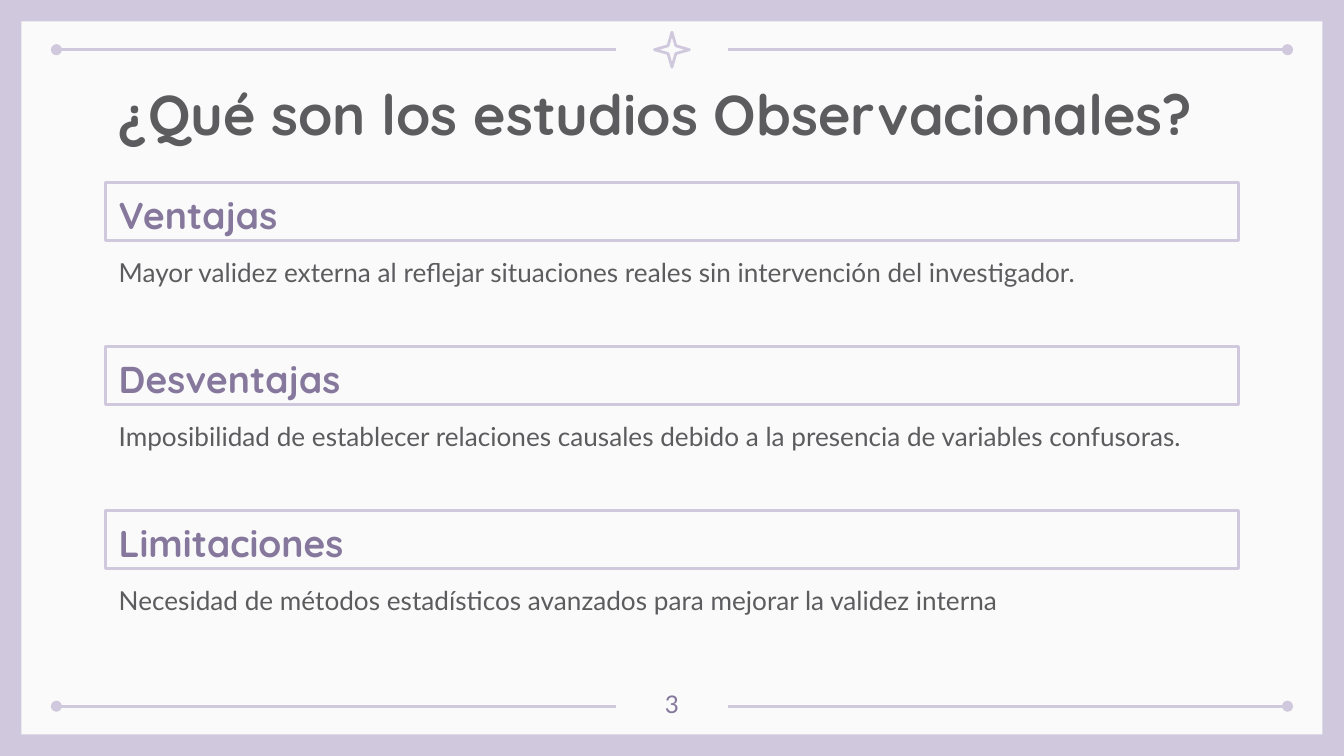
from lxml.etree import SubElement
from pptx import Presentation
from pptx.dml.color import RGBColor
from pptx.enum.shapes import MSO_CONNECTOR, MSO_SHAPE
from pptx.enum.text import MSO_ANCHOR as Anchor, PP_ALIGN as Align
from pptx.oxml.ns import qn
from pptx.util import Inches, Pt

LAVENDER = RGBColor(0xD0, 0xC9, 0xDD)
PAPER = RGBColor(0xFA, 0xFA, 0xFA)
GRAY = RGBColor(0x5C, 0x5C, 0x5F)
PURPLE = RGBColor(0x85, 0x78, 0x9C)

TITLE = "¿Qué son los estudios Observacionales?"
SECTIONS = [
    ("Ventajas",
     "Mayor validez externa al reflejar situaciones reales sin intervención del investigador."),
    ("Desventajas",
     "Imposibilidad de establecer relaciones causales debido a la presencia de variables confusoras."),
    ("Limitaciones",
     "Necesidad de métodos estadísticos avanzados para mejorar la validez interna"),
]
PAGE_NUMBER = "3"

WIDTH = 10
HEIGHT = WIDTH * 9 / 16
BORDER = 0.16
RULE_MARGIN, RULE_LENGTH = 0.42, 4.16
RULE_Y = 0.37
STAR_SIZE = 0.26
CONTENT_WIDTH = 8.43
LEFT = (WIDTH - CONTENT_WIDTH) / 2
FIRST_ROW, ROW_STEP = 1.36, 1.22
HEADING_HEIGHT, BODY_OFFSET, BODY_HEIGHT = 0.43, 0.41, 0.58


def style_outline(line):
    line.color.rgb = LAVENDER
    line.width = Pt(1.5)


def add_preset(slide, preset, left, top, width, height, fill=None):
    """Add a shape that is either filled without a line or outlined without a fill."""
    shape = slide.shapes.add_shape(preset, *map(Inches, (left, top, width, height)))
    shape.shadow.inherit = False
    if fill is not None:
        shape.fill.solid()
        shape.fill.fore_color.rgb = fill
        shape.line.fill.background()
    else:
        shape.fill.background()
        style_outline(shape.line)
        SubElement(shape.line._get_or_add_ln(), qn("a:round"))
    return shape


def add_rule(slide, start_x, end_x, y, dotted_end):
    """Draw a line from left to right with a dot at its headEnd or tailEnd."""
    rule = slide.shapes.add_connector(
        MSO_CONNECTOR.STRAIGHT, *map(Inches, (start_x, y, end_x, y)))
    style_outline(rule.line)
    SubElement(rule.line._get_or_add_ln(), qn(dotted_end), type="oval")
    SubElement(rule.element.spPr, qn("a:effectLst"))


def write(shape, text, font_name, size, color, bold=False,
          align=Align.LEFT, anchor=Anchor.TOP, spacing=1.0):
    frame = shape.text_frame
    frame.word_wrap = True
    frame.vertical_anchor = anchor
    frame.margin_left = frame.margin_right = Inches(0.1)
    frame.margin_top = frame.margin_bottom = Inches(0.1)
    frame.text = text
    paragraph = frame.paragraphs[0]
    paragraph.alignment = align
    paragraph.line_spacing = spacing
    font = paragraph.font
    font.name, font.size, font.bold = font_name, Pt(size), bold
    font.color.rgb = color


def add_text(slide, left, top, width, height, text, *style, **options):
    box = slide.shapes.add_textbox(*map(Inches, (left, top, width, height)))
    write(box, text, *style, **options)


def add_frame(slide):
    background = slide.background.fill
    background.solid()
    background.fore_color.rgb = LAVENDER
    add_preset(slide, MSO_SHAPE.RECTANGLE, BORDER, BORDER,
               WIDTH - 2 * BORDER, HEIGHT - 2 * BORDER, PAPER)
    right = WIDTH - RULE_MARGIN
    for y in (RULE_Y, HEIGHT - RULE_Y):
        add_rule(slide, RULE_MARGIN, RULE_MARGIN + RULE_LENGTH, y, "a:headEnd")
        add_rule(slide, right - RULE_LENGTH, right, y, "a:tailEnd")
    star = add_preset(slide, MSO_SHAPE.STAR_4_POINT, (WIDTH - STAR_SIZE) / 2,
                      RULE_Y - STAR_SIZE / 2, STAR_SIZE, STAR_SIZE)
    star.adjustments[0] = 0.157


def add_title(slide):
    title = slide.shapes.title
    title.left, title.top = Inches(LEFT), Inches(0.49)
    title.width, title.height = Inches(CONTENT_WIDTH), Inches(0.63)
    write(title, TITLE, "Quicksand", 30, GRAY, bold=True)
    title.element.getparent().append(title.element)  # in front of the panel


def add_sections(slide):
    for row, (heading, body) in enumerate(SECTIONS):
        top = FIRST_ROW + row * ROW_STEP
        add_text(slide, LEFT, top + BODY_OFFSET, CONTENT_WIDTH, BODY_HEIGHT,
                 body, "Lato", 14, GRAY, spacing=1.15)
        box = add_preset(slide, MSO_SHAPE.RECTANGLE, LEFT, top,
                         CONTENT_WIDTH, HEADING_HEIGHT)
        write(box, heading, "Quicksand", 20, PURPLE, bold=True,
              anchor=Anchor.MIDDLE, spacing=1.15)


def main():
    presentation = Presentation()
    presentation.slide_width = Inches(WIDTH)
    presentation.slide_height = Inches(HEIGHT)
    slide = presentation.slides.add_slide(presentation.slide_layouts[5])
    add_frame(slide)
    add_title(slide)
    add_sections(slide)
    add_text(slide, 4.7, 5.03, 0.6, 0.36, PAGE_NUMBER, "Lato", 13, PURPLE,
             align=Align.CENTER)
    presentation.save("out.pptx")


if __name__ == "__main__":
    main()
